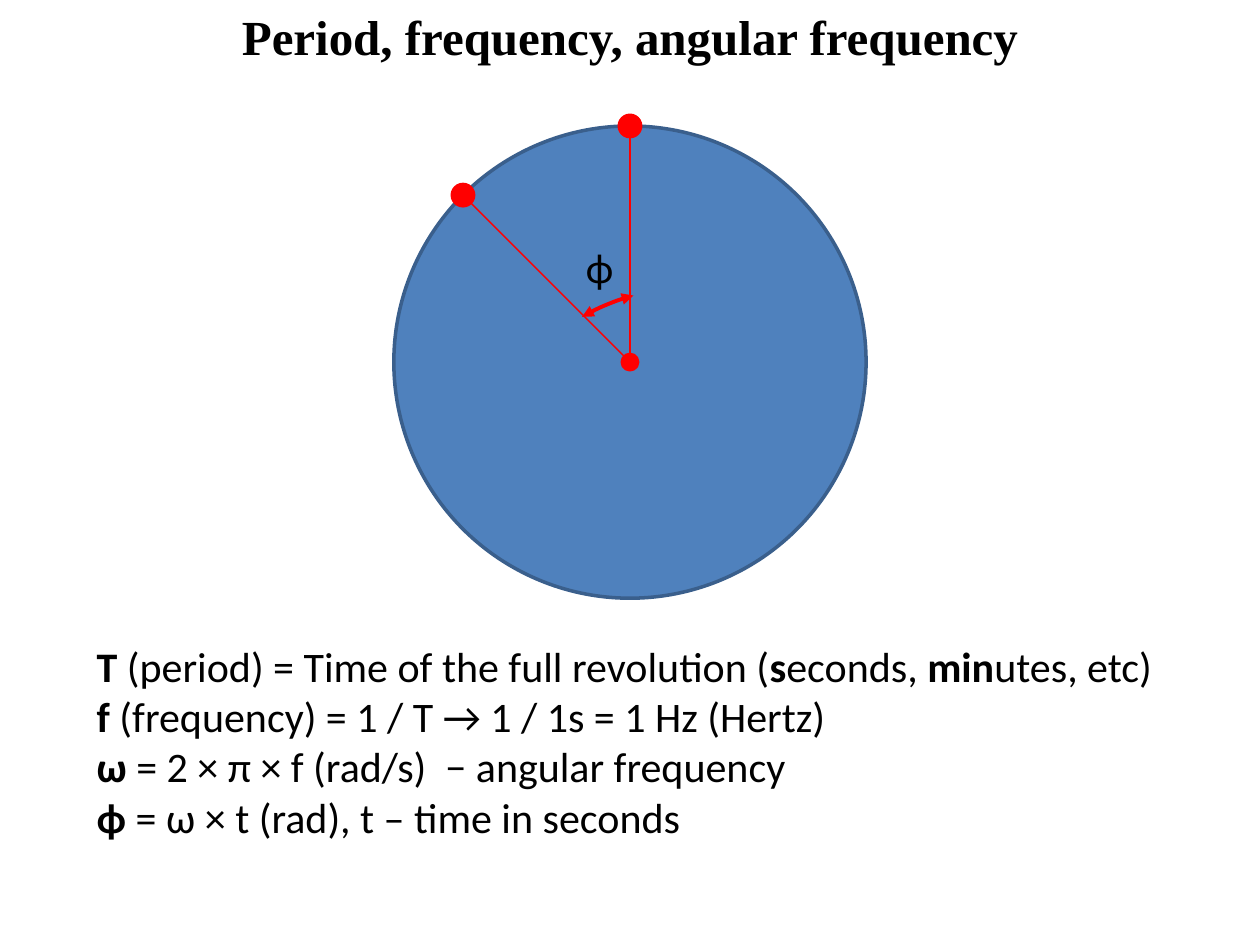
import math

from lxml import etree
from pptx import Presentation
from pptx.dml.color import RGBColor
from pptx.enum.shapes import MSO_CONNECTOR, MSO_SHAPE
from pptx.enum.text import MSO_AUTO_SIZE, PP_ALIGN
from pptx.oxml.ns import qn
from pptx.util import Cm, Pt

OVAL, ARC = MSO_SHAPE.OVAL, MSO_SHAPE.ARC
STRAIGHT = MSO_CONNECTOR.STRAIGHT
LEFT, CENTER = PP_ALIGN.LEFT, PP_ALIGN.CENTER
GROW = MSO_AUTO_SIZE.SHAPE_TO_FIT_TEXT

COLORS = {"text": "000000", "disc": "4F81BD", "rim": "3A5F8C", "mark": "FF0000"}

TITLE = "Period, frequency, angular frequency"
# Each formula alternates bold and plain runs
FORMULAS = [
    ["T", " (period) = Time of the full revolution (", "s", "econds, ", "min", "utes, etc)"],
    ["f", " (frequency) = 1 / T → 1 / 1s = 1 Hz (Hertz)"],
    ["ω ", "= 2 × π × f (rad/s)  − angular frequency"],
    ["ϕ", " = ω × t (rad), t – time in seconds"],
]


def color(name):
    return RGBColor.from_string(COLORS[name])


def add_text(slide, box, paragraphs, *, size=24, font="Calibri", align=LEFT, wrap=False):
    """Place paragraphs, each a list of (text, bold) runs, in a box given in cm."""
    frame = slide.shapes.add_textbox(*map(Cm, box)).text_frame
    frame.word_wrap = wrap
    frame.auto_size = GROW
    for i, runs in enumerate(paragraphs):
        paragraph = frame.paragraphs[0] if i == 0 else frame.add_paragraph()
        paragraph.alignment = align
        for text, bold in runs:
            run = paragraph.add_run()
            run.text = text
            run.font.size = Pt(size)
            run.font.name = font
            run.font.bold = bold
            run.font.color.rgb = color("text")


def add_curve(slide, kind, box, *, fill=None, line="mark", width=2):
    shape = slide.shapes.add_shape(kind, *map(Cm, box))
    shape.shadow.inherit = False
    if fill:
        shape.fill.solid()
        shape.fill.fore_color.rgb = color(fill)
    else:
        shape.fill.background()
    shape.line.color.rgb = color(line)
    shape.line.width = Pt(width)
    return shape


def add_dot(slide, x, y, diameter):
    box = (x - diameter / 2, y - diameter / 2, diameter, diameter)
    add_curve(slide, OVAL, box, fill="mark")


def add_radius(slide, start, end):
    radius = slide.shapes.add_connector(STRAIGHT, *map(Cm, (*start, *end)))
    radius.line.color.rgb = color("mark")
    radius.line.width = Pt(0.75)
    etree.SubElement(radius._element.spPr, qn("a:effectLst"))


def add_title(slide, box):
    add_text(slide, box, [[(TITLE, True)]], size=28, font="Times New Roman",
             align=CENTER, wrap=True)


def add_rotation_diagram(slide, box):
    left, top, diameter = box
    radius = diameter / 2
    center = cx, cy = left + radius, top + radius
    add_curve(slide, OVAL, (left, top, diameter, diameter), fill="disc", line="rim")

    # Two positions of the moving point, with their radii
    for degrees in (90, 135):
        angle = math.radians(degrees)
        point = cx + radius * math.cos(angle), cy - radius * math.sin(angle)
        add_radius(slide, center, point)
        add_dot(slide, *point, 0.43)
    add_dot(slide, *center, 0.31)

    # Angle between the radii
    sweep = add_curve(slide, ARC, (cx - 2.16, cy - 1.26, 4.29, 2.08), width=2.25)
    sweep.rotation = 338.3
    sweep.adjustments[0] = 142.71
    sweep.adjustments[1] = 177.63
    for end in ("a:headEnd", "a:tailEnd"):
        etree.SubElement(sweep.line._get_or_add_ln(), qn(end), type="triangle")
    add_text(slide, (cx - 1.14, cy - 2.55, 1.04, 1.27), [[("ϕ", False)]])


def add_formulas(slide, box):
    paragraphs = [[(text, i % 2 == 0) for i, text in enumerate(formula)]
                  for formula in FORMULAS]
    add_text(slide, box, paragraphs)


def main():
    presentation = Presentation()
    presentation.slide_width = Cm(25.4)
    presentation.slide_height = Cm(19.05)
    slide = presentation.slides.add_slide(presentation.slide_layouts[6])
    add_title(slide, (0, 0, 25.4, 1.45))
    add_rotation_diagram(slide, (7.94, 2.54, 9.52))
    add_formulas(slide, (1.7, 12.78, 22, 4.37))
    presentation.save("out.pptx")


if __name__ == "__main__":
    main()
